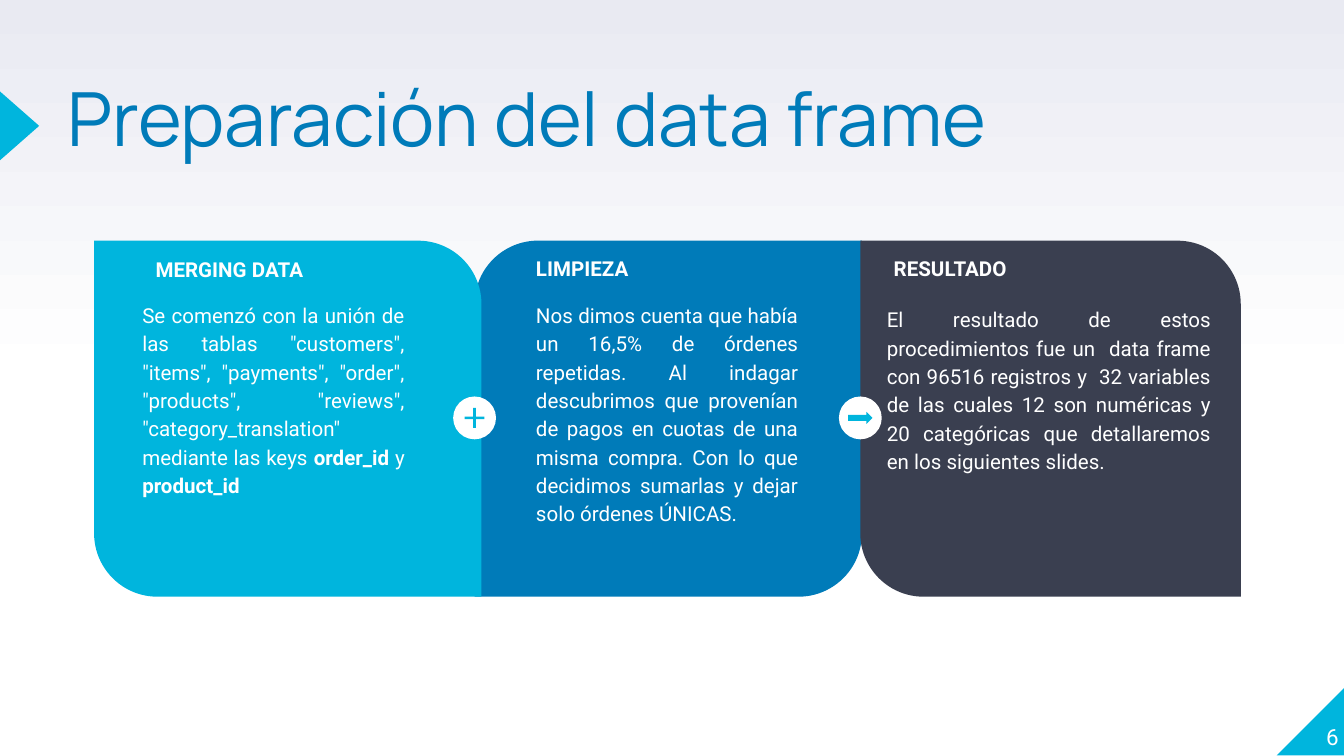
from dataclasses import dataclass

from pptx import Presentation
from pptx import util as u
from pptx.dml import color
from pptx.enum import shapes, text

Kind = shapes.MSO_SHAPE


@dataclass(frozen=True)
class Theme:
    cyan: str = "00B5DD"
    blue: str = "007BB9"
    slate: str = "3A3F50"
    white: str = "FFFFFF"
    haze: str = "E9EAF2"
    title_font: str = "Manrope"
    body_font: str = "Roboto"
    title_size: int = 40
    body_size: int = 11
    number_size: int = 12


@dataclass(frozen=True)
class Area:
    left: float
    top: float
    width: float
    height: float

    def lengths(self) -> list[u.Cm]:
        return [u.Cm(n) for n in (self.left, self.top, self.width, self.height)]


@dataclass(frozen=True)
class Style:
    font: str
    size: int
    color: str
    bold: bool = False
    inset: float = 0
    align: text.PP_ALIGN = text.PP_ALIGN.LEFT
    spacing: float = 1.0
    after: int = 0
    anchor: text.MSO_ANCHOR = text.MSO_ANCHOR.TOP


@dataclass(frozen=True)
class Panel:
    left: float
    width: float
    fill: str
    corners: tuple[float, float]
    heading: str
    heading_area: Area
    body: str
    body_area: Area
    after: int = 0


@dataclass(frozen=True)
class Badge:
    center: float
    kind: Kind
    width: float
    height: float
    adjustments: tuple[float, ...]


THEME = Theme()
PANEL_TOP, PANEL_HEIGHT = 4.55, 6.73
BADGE_MIDDLE, BADGE_SIZE = 7.9, 0.81
ROUND = 0.178

PANELS = [
    Panel(8.97, 7.32, THEME.blue, (ROUND, 0), "LIMPIEZA", Area(9.88, 4.6, 3.84, 0.81),
          "Nos dimos cuenta que había un 16,5% de órdenes repetidas. Al indagar "
          "descubrimos que provenían de pagos en cuotas de una misma compra. Con lo "
          "que decidimos sumarlas y dejar solo órdenes ÚNICAS.",
          Area(9.88, 5.41, 5.46, 4.85)),
    Panel(1.78, 7.32, THEME.cyan, (0, ROUND), "MERGING DATA", Area(2.69, 4.62, 5.46, 2.44),
          'Se comenzó con la unión de las tablas "customers", "items", "payments", '
          '"order", "products", "reviews", "category_translation" mediante las keys '
          "**order_id** y **product_id**",
          Area(2.44, 5.41, 5.46, 2.72), after=16),
    Panel(16.26, 7.19, THEME.slate, (0, ROUND), "RESULTADO", Area(16.64, 4.6, 3.99, 0.97),
          "El resultado de estos procedimientos fue un  data frame con 96516 registros "
          "y  32 variables de las cuales 12 son numéricas y 20 categóricas que "
          "detallaremos en los siguientes slides.",
          Area(16.51, 5.49, 6.63, 4.85)),
]

BADGES = [
    Badge(8.97, Kind.MATH_PLUS, 0.51, 0.51, (0.099,)),
    Badge(16.26, Kind.RIGHT_ARROW, 0.46, 0.23, (0.5, 0.5)),
]


def rgb(value: str) -> color.RGBColor:
    return color.RGBColor.from_string(value)


def add_shape(page, kind: Kind, area: Area, fill: str, adjustments: tuple[float, ...] = ()):
    shape = page.shapes.add_shape(kind, *area.lengths())
    shape.shadow.inherit = False
    shape.fill.solid()
    shape.fill.fore_color.rgb = rgb(fill)
    shape.line.fill.background()
    for index, value in enumerate(adjustments):
        shape.adjustments[index] = value
    return shape


def add_text(page, area: Area, words: str, style: Style) -> None:
    box = page.shapes.add_textbox(*area.lengths())
    frame = box.text_frame
    frame.word_wrap = True
    frame.vertical_anchor = style.anchor
    frame.margin_left = frame.margin_right = u.Cm(style.inset)
    frame.margin_top = frame.margin_bottom = u.Cm(style.inset)
    para = frame.paragraphs[0]
    para.alignment = style.align
    para.line_spacing = style.spacing
    para.space_after = u.Pt(style.after)
    for index, part in enumerate(words.split("**")):
        if not part:
            continue
        span = para.add_run()
        span.text = part
        span.font.name = style.font
        span.font.size = u.Pt(style.size)
        span.font.color.rgb = rgb(style.color)
        span.font.bold = style.bold or index % 2 == 1


def add_panel(page, panel: Panel) -> None:
    area = Area(panel.left, PANEL_TOP, panel.width, PANEL_HEIGHT)
    add_shape(page, Kind.ROUND_2_DIAG_RECTANGLE, area, panel.fill, panel.corners)
    add_text(page, panel.heading_area, panel.heading,
             Style(THEME.body_font, THEME.body_size, THEME.white, bold=True, inset=0.25))
    add_text(page, panel.body_area, panel.body,
             Style(THEME.body_font, THEME.body_size, THEME.white, inset=0.25,
                   align=text.PP_ALIGN.JUSTIFY, spacing=1.15, after=panel.after))


def centered(center: float, width: float, height: float) -> Area:
    return Area(center - width / 2, BADGE_MIDDLE - height / 2, width, height)


def add_badge(page, badge: Badge) -> None:
    add_shape(page, Kind.OVAL, centered(badge.center, BADGE_SIZE, BADGE_SIZE), THEME.white)
    add_shape(page, badge.kind, centered(badge.center, badge.width, badge.height),
              THEME.cyan, badge.adjustments)


def paint_background(page) -> None:
    fill = page.background.fill
    fill.gradient()
    fill.gradient_angle = 90
    stops = [(0.5, THEME.white), (1.0, THEME.haze)]
    for stop, (position, value) in zip(fill.gradient_stops, stops):
        stop.position = position
        stop.color.rgb = rgb(value)


def add_frame(page) -> None:
    corner = add_shape(page, Kind.RIGHT_TRIANGLE, Area(24.13, 12.98, 1.3, 1.3), THEME.cyan)
    corner.element.spPr.xfrm.set("flipH", "1")
    pointer = add_shape(page, Kind.ISOSCELES_TRIANGLE, Area(-0.28, 2.01, 1.3, 0.74), THEME.cyan)
    pointer.rotation = 90
    add_text(page, Area(1.27, 1.68, 18.69, 1.78), "Preparación del data frame",
             Style(THEME.title_font, THEME.title_size, THEME.blue, spacing=0.8))
    add_text(page, Area(24.03, 12.88, 1.27, 1.3), "6",
             Style(THEME.body_font, THEME.number_size, THEME.white,
                   align=text.PP_ALIGN.RIGHT, anchor=text.MSO_ANCHOR.BOTTOM))


def main() -> None:
    deck = Presentation()
    deck.slide_width, deck.slide_height = u.Cm(25.4), u.Cm(14.29)
    page = deck.slides.add_slide(deck.slide_layouts[6])
    paint_background(page)
    add_frame(page)
    for panel in PANELS:
        add_panel(page, panel)
    for badge in BADGES:
        add_badge(page, badge)
    deck.save("out.pptx")


main()
